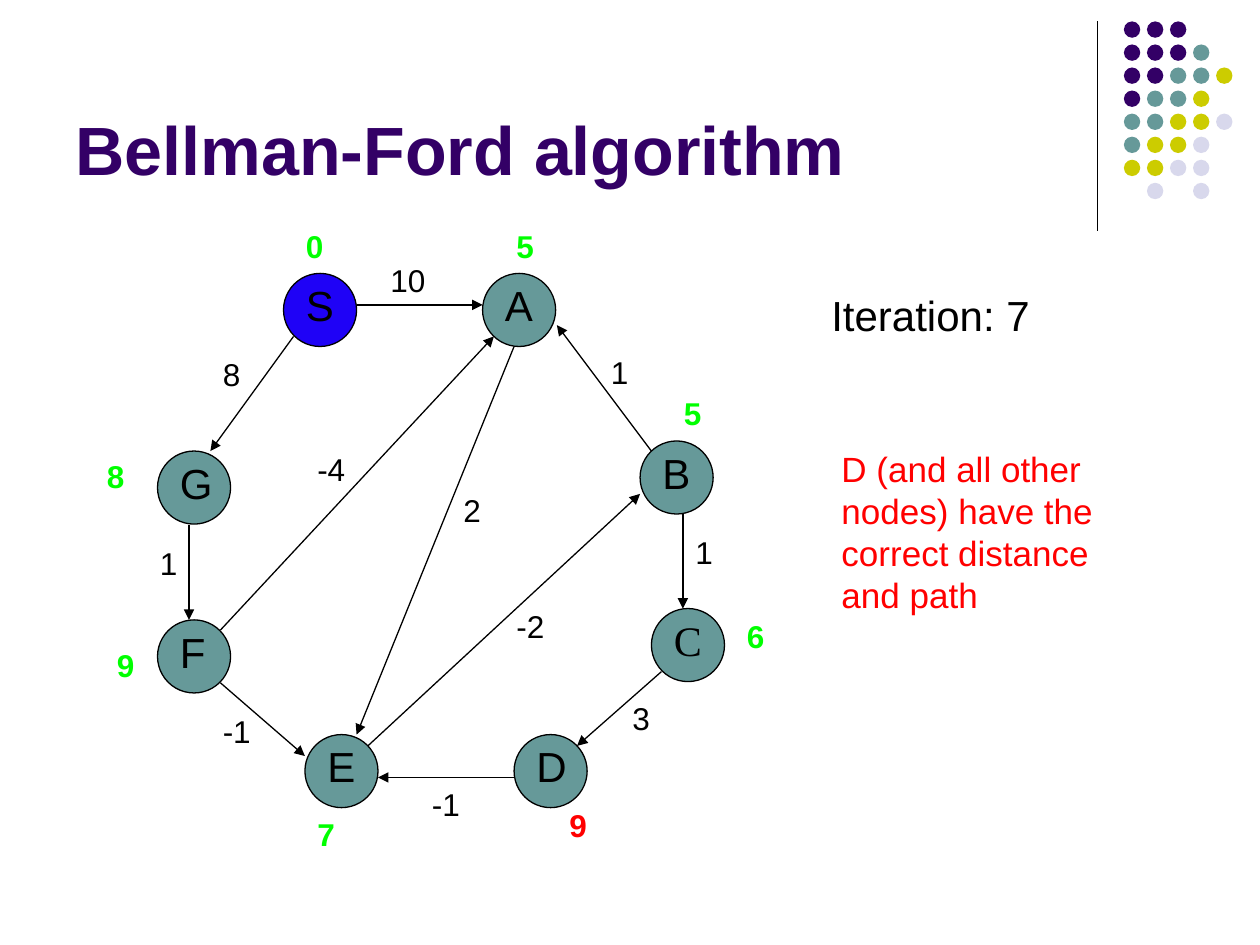
from lxml.etree import SubElement
from pptx import Presentation
from pptx.dml.color import RGBColor
from pptx.enum.shapes import MSO_CONNECTOR, MSO_SHAPE
from pptx.enum.text import MSO_ANCHOR, MSO_AUTO_SIZE, PP_ALIGN
from pptx.oxml.ns import qn
from pptx.util import Inches, Pt

BLACK, PURPLE, TEAL, BLUE = "000000", "330066", "669999", "1F02F6"
GREEN, RED = "00FF00", "FF0000"

TITLE = "Bellman-Ford algorithm"
ITERATION = "Iteration: 7"
REMARK = "D (and all other nodes) have the correct distance and path"

DOT_COLORS = {"P": PURPLE, "T": TEAL, "Y": "CCCC00", "L": "D8D8EC"}
DOT_ROWS = ["PPP", "PPPT", "PPTTY", "PTTY", "TTYYL", "TYYL", "YYLL", "-L-L"]
DOT_LEFT, DOT_TOP, DOT_PITCH, DOT_SIZE = 8.92, 0.17, 0.183, 0.13

NODE_SIZE = 0.58
# name, left, top, fill, font
NODES = [
    ("G", 1.25, 3.58, TEAL, "Arial"),
    ("S", 2.25, 2.17, BLUE, "Arial"),
    ("F", 1.25, 4.92, TEAL, "Arial"),
    ("E", 2.42, 5.83, TEAL, "Arial"),
    ("A", 3.83, 2.17, TEAL, "Arial"),
    ("D", 4.08, 5.83, TEAL, "Arial"),
    ("B", 5.08, 3.5, TEAL, "Arial"),
    ("C", 5.17, 4.83, TEAL, "Times New Roman"),
]
# start, end, weight, weight position
EDGES = [
    ((2.83, 2.42), (3.83, 2.42), "10", (3, 2.02)),
    ((5.17, 3.58), (4.42, 2.58), "1", (4.75, 2.75)),
    ((5.42, 4.08), (5.42, 4.83), "1", (5.42, 4.18)),
    ((5.25, 5.33), (4.58, 5.92), "3", (4.92, 5.5)),
    ((4.08, 6.17), (3, 6.17), "-1", (3.33, 6.18)),
    ((1.75, 5.42), (2.42, 6), "-1", (1.67, 5.6)),
    ((1.5, 4.17), (1.5, 4.92), "1", (1.17, 4.27)),
    ((2.33, 2.67), (1.67, 3.58), "8", (1.67, 2.77)),
    ((1.75, 5), (3.92, 2.67), "-4", (2.42, 3.52)),
    ((4.08, 2.75), (2.83, 5.83), "2", (3.58, 3.85)),
    ((2.92, 5.92), (5.08, 3.92), "-2", (4, 4.77)),
]
# distance, left, top, color
DISTANCES = [
    ("0", 2.33, 1.75, GREEN),
    ("5", 4, 1.75, GREEN),
    ("5", 5.33, 3.08, GREEN),
    ("6", 5.83, 4.85, GREEN),
    ("9", 4.42, 6.35, RED),
    ("7", 2.42, 6.42, GREEN),
    ("9", 0.83, 5.08, GREEN),
    ("8", 0.75, 3.58, GREEN),
]


def rgb(color):
    return RGBColor.from_string(color)


def write(frame, text, size=18, color=BLACK, font="Arial", bold=False):
    para = frame.paragraphs[0]
    para.alignment = PP_ALIGN.LEFT
    span = para.add_run()
    span.text = text
    span.font.size = Pt(size)
    span.font.name = font
    span.font.bold = bold
    span.font.color.rgb = rgb(color)


def add_text(shapes, text, left, top, width=0.5, height=0.4, **text_format):
    box = shapes.add_textbox(Inches(left), Inches(top), Inches(width), Inches(height))
    box.text_frame.word_wrap = True
    write(box.text_frame, text, **text_format)


def add_circle(shapes, left, top, size, fill, outlined=False):
    circle = shapes.add_shape(MSO_SHAPE.OVAL, Inches(left), Inches(top), Inches(size), Inches(size))
    circle.shadow.inherit = False
    circle.fill.solid()
    circle.fill.fore_color.rgb = rgb(fill)
    if outlined:
        circle.line.color.rgb = rgb(BLACK)
        circle.line.width = Pt(0.75)
    else:
        circle.line.fill.background()


def add_line(shapes, start, end, arrow=False):
    line = shapes.add_connector(MSO_CONNECTOR.STRAIGHT, *map(Inches, start + end))
    line.line.color.rgb = rgb(BLACK)
    line.line.width = Pt(0.75)
    properties = line._element.spPr
    if arrow:
        SubElement(properties.find(qn("a:ln")), qn("a:tailEnd"), type="triangle")
    SubElement(properties, qn("a:effectLst"))


def add_title(page):
    title = page.shapes.title
    title.left, title.top = Inches(0.5), Inches(0.13)
    title.width, title.height = Inches(8.25), Inches(1.42)
    frame = title.text_frame
    frame.auto_size = MSO_AUTO_SIZE.NONE
    frame.vertical_anchor = MSO_ANCHOR.BOTTOM
    write(frame, TITLE, size=39, color=PURPLE, bold=True)


def add_ornament(page):
    add_line(page.shapes, (8.71, 0.17), (8.71, 1.83))
    dots = page.shapes.add_group_shape().shapes
    for row, codes in enumerate(DOT_ROWS):
        for column, code in enumerate(codes):
            if code in DOT_COLORS:
                add_circle(dots, DOT_LEFT + column * DOT_PITCH, DOT_TOP + row * DOT_PITCH,
                           DOT_SIZE, DOT_COLORS[code])


def add_graph(page):
    for name, left, top, fill, font in NODES:
        node = page.shapes.add_group_shape().shapes
        add_circle(node, left, top, NODE_SIZE, fill, outlined=True)
        add_text(node, name, left + 0.08, top, height=0.5, size=24, font=font)
    for start, end, _, _ in EDGES:
        add_line(page.shapes, start, end, arrow=True)
    for _, _, weight, position in EDGES:
        add_text(page.shapes, weight, *position)
    for distance, left, top, color in DISTANCES:
        add_text(page.shapes, distance, left, top, color=color, bold=True)


def main():
    deck = Presentation()
    deck.slide_width, deck.slide_height = Inches(10), Inches(7.5)
    page = deck.slides.add_slide(deck.slide_layouts[5])
    add_ornament(page)
    add_title(page)
    add_graph(page)
    add_text(page.shapes, ITERATION, 6.5, 2.25, 2.33, 0.5, size=24)
    add_text(page.shapes, REMARK, 6.58, 3.5, 2.42, 1.43, size=20, color=RED)
    deck.save("out.pptx")


if __name__ == "__main__":
    main()
